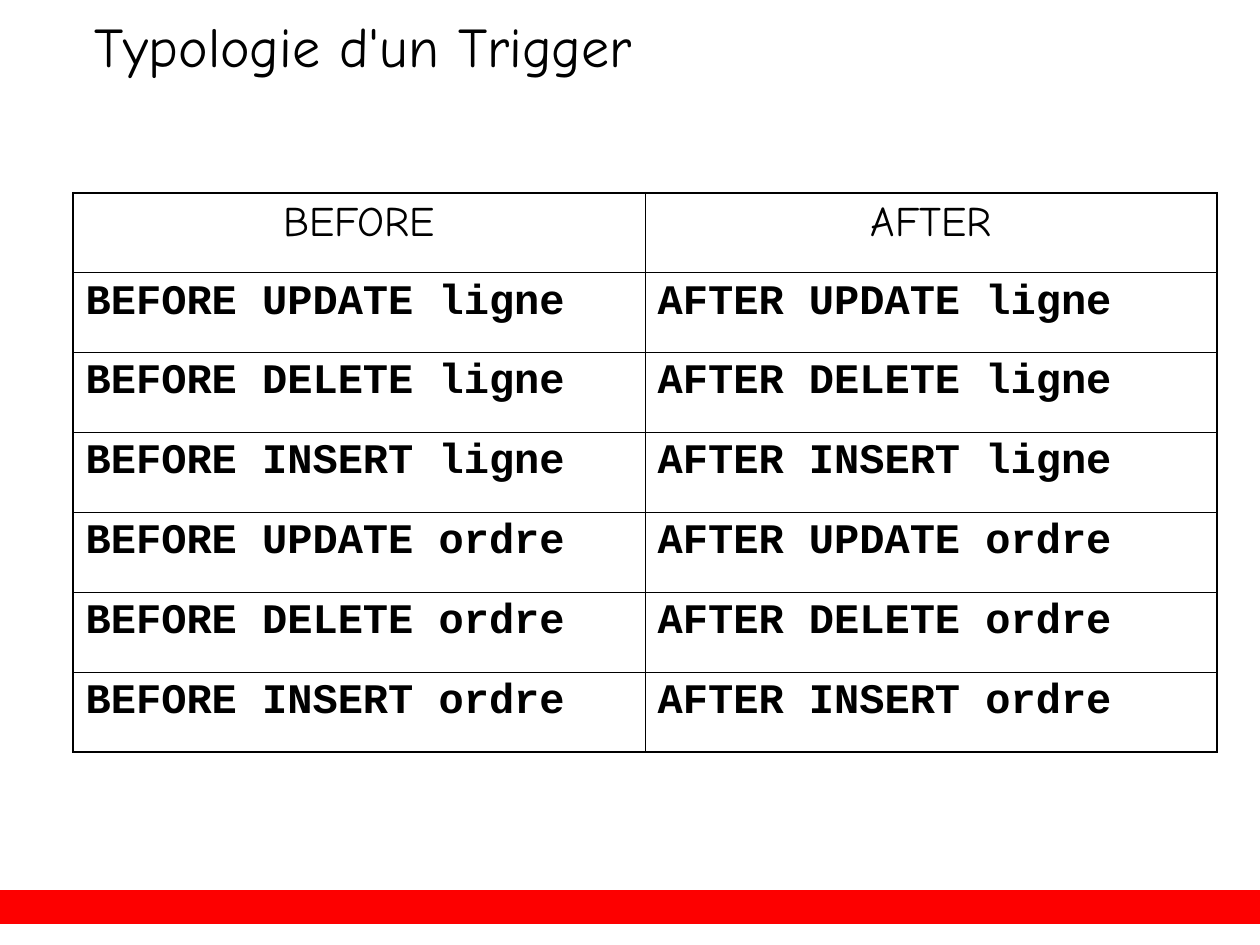
from pptx import Presentation
from pptx.dml.color import RGBColor
from pptx.enum.shapes import MSO_SHAPE
from pptx.enum.text import MSO_ANCHOR, PP_ALIGN
from pptx.oxml.ns import qn
from pptx.util import Inches, Pt
from lxml import etree

RECT = MSO_SHAPE.RECTANGLE
TOP = MSO_ANCHOR.TOP
LEFT, CENTER = PP_ALIGN.LEFT, PP_ALIGN.CENTER

BLACK = RGBColor(0x00, 0x00, 0x00)
RED = RGBColor(0xFD, 0x00, 0x00)
TITLE_FONT = "Comic Neue"
CODE_FONT = "Courier New"
OUTER, INNER = Pt(1.08), Pt(0.45)


def write(tf, text, font=TITLE_FONT, size=24, bold=False, align=LEFT, spacing=None):
    p = tf.paragraphs[0]
    p.alignment = align
    p.line_spacing = spacing
    r = p.add_run()
    r.text = text
    r.font.name = font
    r.font.size = Pt(size)
    r.font.bold = bold
    r.font.color.rgb = BLACK


def add_border(cell, side, width):
    """Draw one side of a cell: L, R, T or B, in that order."""
    tc_pr = cell._tc.get_or_add_tcPr()
    ln = etree.SubElement(tc_pr, qn(f"a:ln{side}"), w=str(int(width)))
    fill = etree.SubElement(ln, qn("a:solidFill"))
    etree.SubElement(fill, qn("a:srgbClr"), val=str(BLACK))


class SlideBuilder:
    def __init__(self, prs):
        self.slide = prs.slides.add_slide(prs.slide_layouts[6])

    def bar(self, x, y, w, h):
        sp = self.slide.shapes.add_shape(RECT, Inches(x), Inches(y), Inches(w), Inches(h))
        sp.shadow.inherit = False
        sp.fill.solid()
        sp.fill.fore_color.rgb = RED
        sp.line.color.rgb = RED
        sp.line.width = Pt(1)

    def title(self, text, x, y, w, h):
        sp = self.slide.shapes.add_textbox(Inches(x), Inches(y), Inches(w), Inches(h))
        tf = sp.text_frame
        tf.word_wrap = True
        tf.vertical_anchor = TOP
        tf.margin_left = tf.margin_right = tf.margin_top = tf.margin_bottom = 0
        write(tf, text, size=32, spacing=0.85)

    def table(self, rows, x, y, w, h):
        """Add a grid with a centred header row and bold code below it."""
        n_rows, n_cols = len(rows), len(rows[0])
        table = self.slide.shapes.add_table(
            n_rows, n_cols, Inches(x), Inches(y), Inches(w), Inches(h)).table
        table.first_row = table.horz_banding = False
        for i, row in enumerate(rows):
            for j, text in enumerate(row):
                cell = table.cell(i, j)
                on_edge = {"L": j == 0, "R": j == n_cols - 1,
                           "T": i == 0, "B": i == n_rows - 1}
                for side, outer in on_edge.items():
                    add_border(cell, side, OUTER if outer else INNER)
                cell.fill.background()
                cell.margin_left = cell.margin_right = Inches(0.1)
                cell.margin_top = cell.margin_bottom = Inches(0.05)
                if i == 0:
                    write(cell.text_frame, text, align=CENTER)
                else:
                    write(cell.text_frame, text, font=CODE_FONT, bold=True)


def main():
    prs = Presentation()
    prs.slide_width, prs.slide_height = Inches(10), Inches(7.5)

    timings = ("BEFORE", "AFTER")
    rows = [timings]
    for level in ("ligne", "ordre"):
        for event in ("UPDATE", "DELETE", "INSERT"):
            rows.append([f"{timing} {event} {level}" for timing in timings])

    s = SlideBuilder(prs)
    s.bar(0, 7.07, 10, 0.26)
    s.title("Typologie d'un Trigger", 0.75, 0.17, 8.17, 0.58)
    s.table(rows, 0.58, 1.53, 9.08, 4.44)
    prs.save("out.pptx")


if __name__ == "__main__":
    main()
